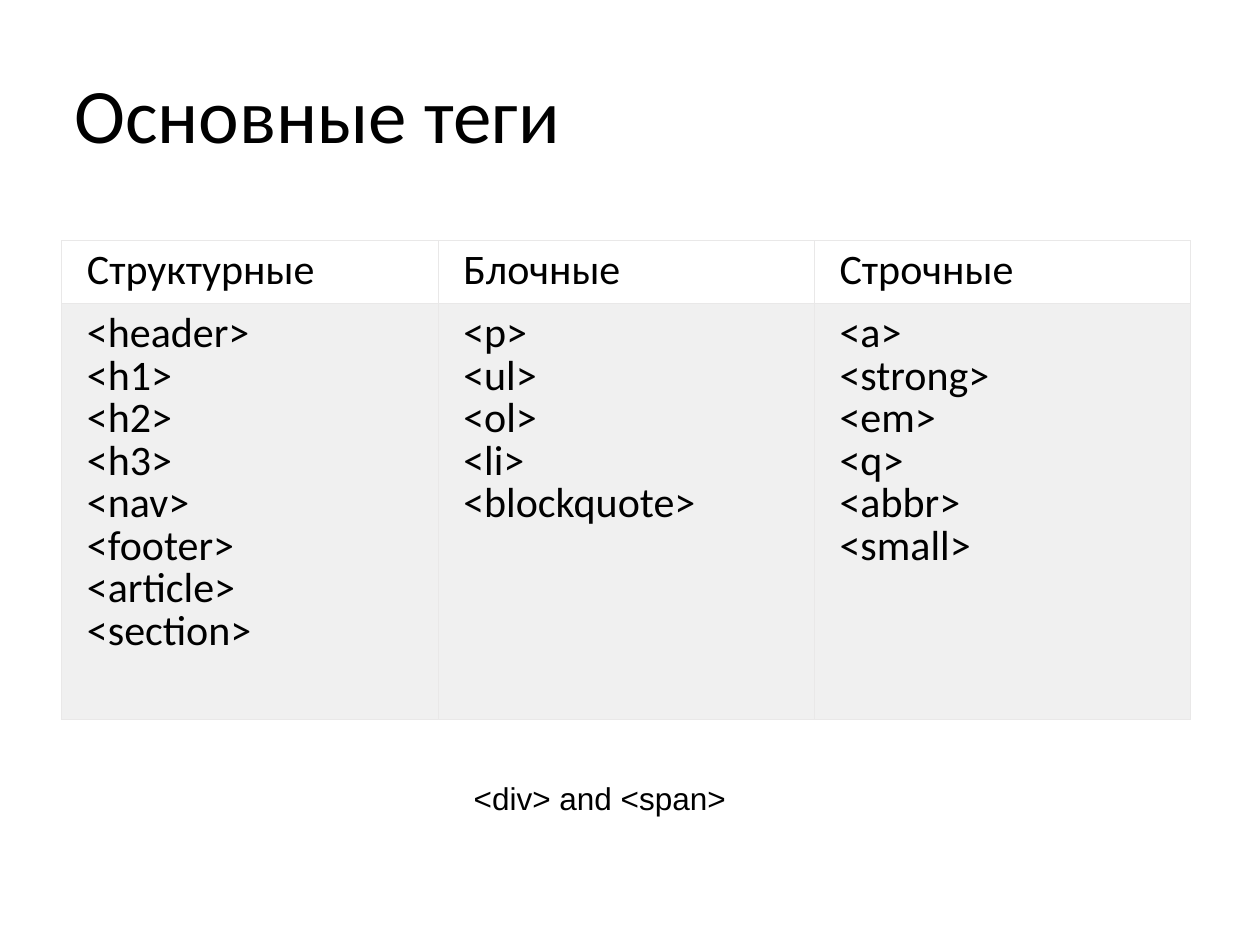
"""Build a slide that sorts the basic HTML tags into three columns."""
from dataclasses import dataclass

from lxml import etree
from pptx import Presentation
from pptx import util as u
from pptx.dml.color import RGBColor
from pptx.enum import text as t
from pptx.oxml.ns import qn

WIDE, HIGH = u.Inches(10), u.Inches(7.5)
INK, PAPER, SHADE, EDGE = "000000", "FFFFFF", "F0F0F0", "E9E8E8"


@dataclass
class Group:
    """A heading and the tags listed below it."""
    head: str
    tags: list[str]


@dataclass
class Box:
    """A frame given as percentages of the slide's size."""
    left: float
    top: float
    wide: float
    high: float

    def emu(self) -> tuple[int, int, int, int]:
        """Return the frame in slide units."""
        return (int(WIDE * self.left / 100), int(HIGH * self.top / 100),
                int(WIDE * self.wide / 100), int(HIGH * self.high / 100))


GROUPS = [
    Group("Структурные", ["<header>", "<h1>", "<h2>", "<h3>", "<nav>",
                          "<footer>", "<article>", "<section>"]),
    Group("Блочные", ["<p>", "<ul>", "<ol>", "<li>", "<blockquote>"]),
    Group("Строчные", ["<a>", "<strong>", "<em>", "<q>", "<abbr>", "<small>"]),
]


def tint(code: str) -> RGBColor:
    """Turn a hex string into a colour."""
    return RGBColor.from_string(code)


def style(frame, words: str, size: float, face: str, lead: float = 1) -> None:
    """Fill a text frame and format its runs."""
    frame.text = words
    for para in frame.paragraphs:
        para.alignment = t.PP_ALIGN.LEFT
        para.line_spacing = lead
        para.space_before = u.Pt(0)
        for run in para.runs:
            run.font.size, run.font.name = u.Pt(size), face
            run.font.bold = False
            run.font.color.rgb = tint(INK)


def inset(frame, left: float, top: float) -> None:
    """Set the margins of a top-anchored, wrapping frame in inches."""
    frame.margin_left, frame.margin_top = u.Inches(left), u.Inches(top)
    frame.margin_right = frame.margin_bottom = 0
    frame.vertical_anchor = t.MSO_ANCHOR.TOP
    frame.word_wrap = True


def rule(cell, code: str, width: float) -> None:
    """Draw a thin line on each side of a cell."""
    props = cell._tc.get_or_add_tcPr()
    for side in ("lnL", "lnR", "lnT", "lnB"):
        line = etree.SubElement(props, qn(f"a:{side}"), w=str(u.Pt(width)))
        fill = etree.SubElement(line, qn("a:solidFill"))
        etree.SubElement(fill, qn("a:srgbClr"), val=code)


def paint(cell, words: str, code: str) -> None:
    """Write, border and fill one table cell."""
    style(cell.text_frame, words, 24, "Calibri", 0.83)
    cell.margin_left, cell.margin_top = u.Inches(0.2), u.Inches(0.08)
    rule(cell, EDGE, 0.34)
    cell.fill.solid()
    cell.fill.fore_color.rgb = tint(code)


def grid(slide, box: Box, groups: list[Group]) -> None:
    """Add the table with one column for each group."""
    table = slide.shapes.add_table(2, len(groups), *box.emu()).table
    table.rows[0].height = u.Inches(0.5)
    table.rows[1].height = box.emu()[3] - u.Inches(0.5)
    for col, group in enumerate(groups):
        paint(table.cell(0, col), group.head, PAPER)
        paint(table.cell(1, col), "\n".join(group.tags), SHADE)


def main() -> None:
    """Put the slide together and save it."""
    deck = Presentation()
    deck.slide_width, deck.slide_height = WIDE, HIGH
    slide = deck.slides.add_slide(deck.slide_layouts[5])

    title = slide.shapes.title
    title.left, title.top, title.width, title.height = Box(4.3, 6.67, 91.3, 16.93).emu()
    inset(title.text_frame, 0.16, 0.03)
    style(title.text_frame, "Основные теги", 44, "Calibri")

    grid(slide, Box(4.9, 25.47, 89.6, 50.67), GROUPS)

    note = slide.shapes.add_textbox(*Box(37.5, 82.13, 20.3, 4.13).emu())
    inset(note.text_frame, 0.01, 0.02)
    style(note.text_frame, "<div> and <span>", 18, "Arial")

    deck.save("out.pptx")


if __name__ == "__main__":
    main()
